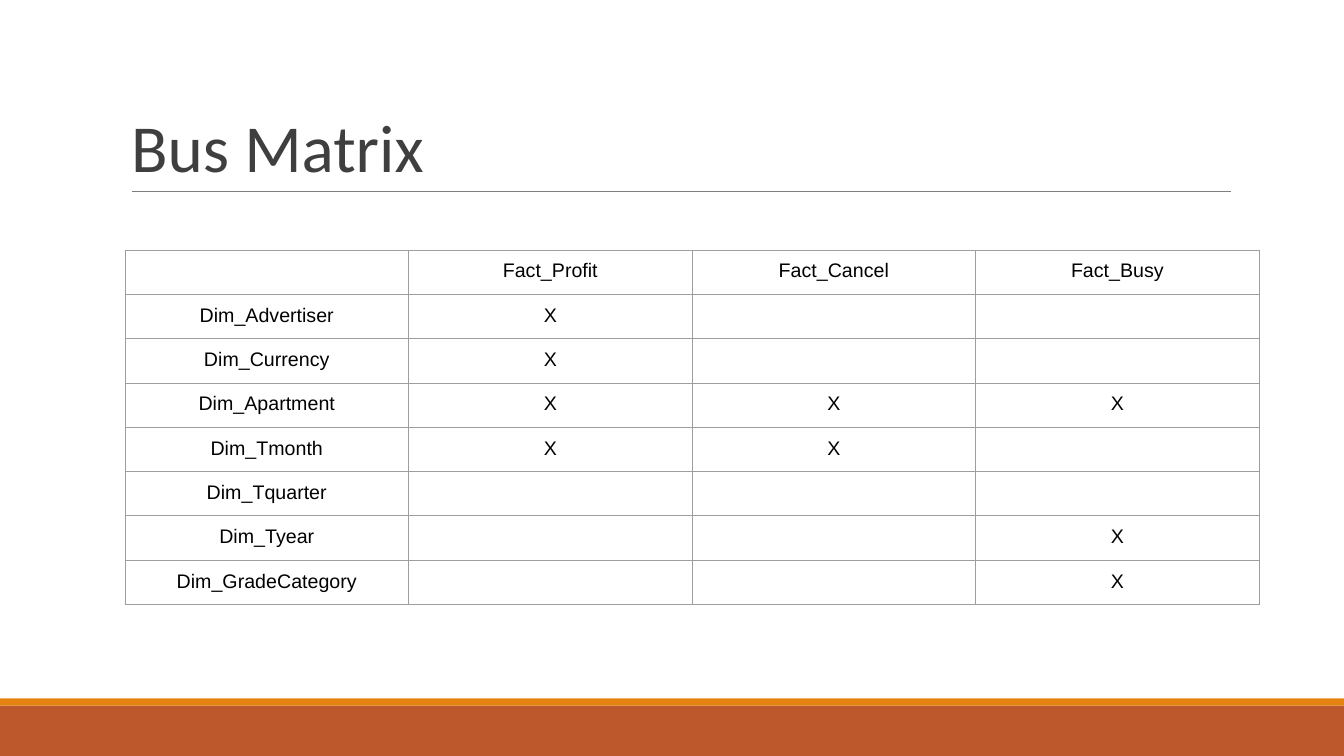
from lxml.etree import SubElement
from pptx import Presentation
from pptx.dml.color import RGBColor
from pptx.enum.shapes import MSO_CONNECTOR as CONNECTOR, MSO_SHAPE as SHAPE
from pptx.enum.text import MSO_ANCHOR as ANCHOR, PP_ALIGN as ALIGN
from pptx.oxml.ns import qn
from pptx.util import Inches, Pt

FACTS = ["Fact_Profit", "Fact_Cancel", "Fact_Busy"]
DIMENSIONS = {
    "Dim_Advertiser": ["Fact_Profit"],
    "Dim_Currency": ["Fact_Profit"],
    "Dim_Apartment": FACTS,
    "Dim_Tmonth": ["Fact_Profit", "Fact_Cancel"],
    "Dim_Tquarter": [],
    "Dim_Tyear": ["Fact_Busy"],
    "Dim_GradeCategory": ["Fact_Busy"],
}


def rgb(value):
    return RGBColor.from_string(value)


class SlideBuilder:
    title_font, body_font = "Calibri", "Arial"
    title_color, body_color = "3F3F3F", "000000"
    rule_color, grid_color = "7F7F7F", "9E9E9E"
    line_width = Pt(0.75)

    def __init__(self, deck):
        self.slide = deck.slides.add_slide(deck.slide_layouts[5])

    def add_span(self, para, text, font, size, color):
        span = para.add_run()
        span.text = text
        span.font.name = font
        span.font.size = Pt(size)
        span.font.color.rgb = rgb(color)

    def band(self, top, height, color):
        box = self.slide.shapes.add_shape(
            SHAPE.RECTANGLE, 0, Inches(top), Inches(13.33), Inches(height))
        box.shadow.inherit = False
        box.fill.solid()
        box.fill.fore_color.rgb = rgb(color)
        box.line.fill.background()

    def rule(self, left, right, top):
        line = self.slide.shapes.add_connector(
            CONNECTOR.STRAIGHT, Inches(left), Inches(top), Inches(right), Inches(top))
        line.line.color.rgb = rgb(self.rule_color)
        line.line.width = self.line_width
        SubElement(line._element.spPr, qn("a:effectLst"))

    def title(self, text, left, top, width, height):
        box = self.slide.shapes.title
        box.left, box.top = Inches(left), Inches(top)
        box.width, box.height = Inches(width), Inches(height)
        frame = box.text_frame
        frame.word_wrap = True
        frame.vertical_anchor = ANCHOR.BOTTOM
        para = frame.paragraphs[0]
        para.alignment = ALIGN.LEFT
        para.line_spacing = 0.85
        self.add_span(para, text, self.title_font, 48, self.title_color)

    def cell(self, cell, text):
        properties = cell._tc.get_or_add_tcPr()
        for side in ("L", "R", "T", "B"):
            border = SubElement(properties, qn(f"a:ln{side}"), w=str(self.line_width))
            fill = SubElement(border, qn("a:solidFill"))
            SubElement(fill, qn("a:srgbClr"), val=self.grid_color)
        cell.fill.background()
        if text:
            cell.margin_left = cell.margin_right = Inches(0.1)
            cell.margin_top = cell.margin_bottom = Inches(0.1)
            para = cell.text_frame.paragraphs[0]
            para.alignment = ALIGN.CENTER
            self.add_span(para, text, self.body_font, 14, self.body_color)

    def table(self, rows, left, top, width, height):
        table = self.slide.shapes.add_table(
            len(rows), len(rows[0]), Inches(left), Inches(top),
            Inches(width), Inches(height)).table
        table.first_row = table.horz_banding = False
        for row, texts in enumerate(rows):
            for column, text in enumerate(texts):
                self.cell(table.cell(row, column), text)


def main():
    deck = Presentation()
    deck.slide_width, deck.slide_height = Inches(13.33), Inches(7.5)
    page = SlideBuilder(deck)

    # Footer bands and title rule
    page.band(7, 0.5, "BD582C")
    page.band(6.93, 0.07, "E48312")
    page.rule(1.31, 12.21, 1.9)

    # Title
    page.title("Bus Matrix", 1.2, 0.31, 11, 1.59)

    # Matrix of dimensions against facts
    rows = [[""] + FACTS]
    for dimension, used in DIMENSIONS.items():
        rows.append([dimension] + ["X" if fact in used else "" for fact in FACTS])
    page.table(rows, 1.24, 2.48, 11.25, 3.52)

    deck.save("out.pptx")


if __name__ == "__main__":
    main()
